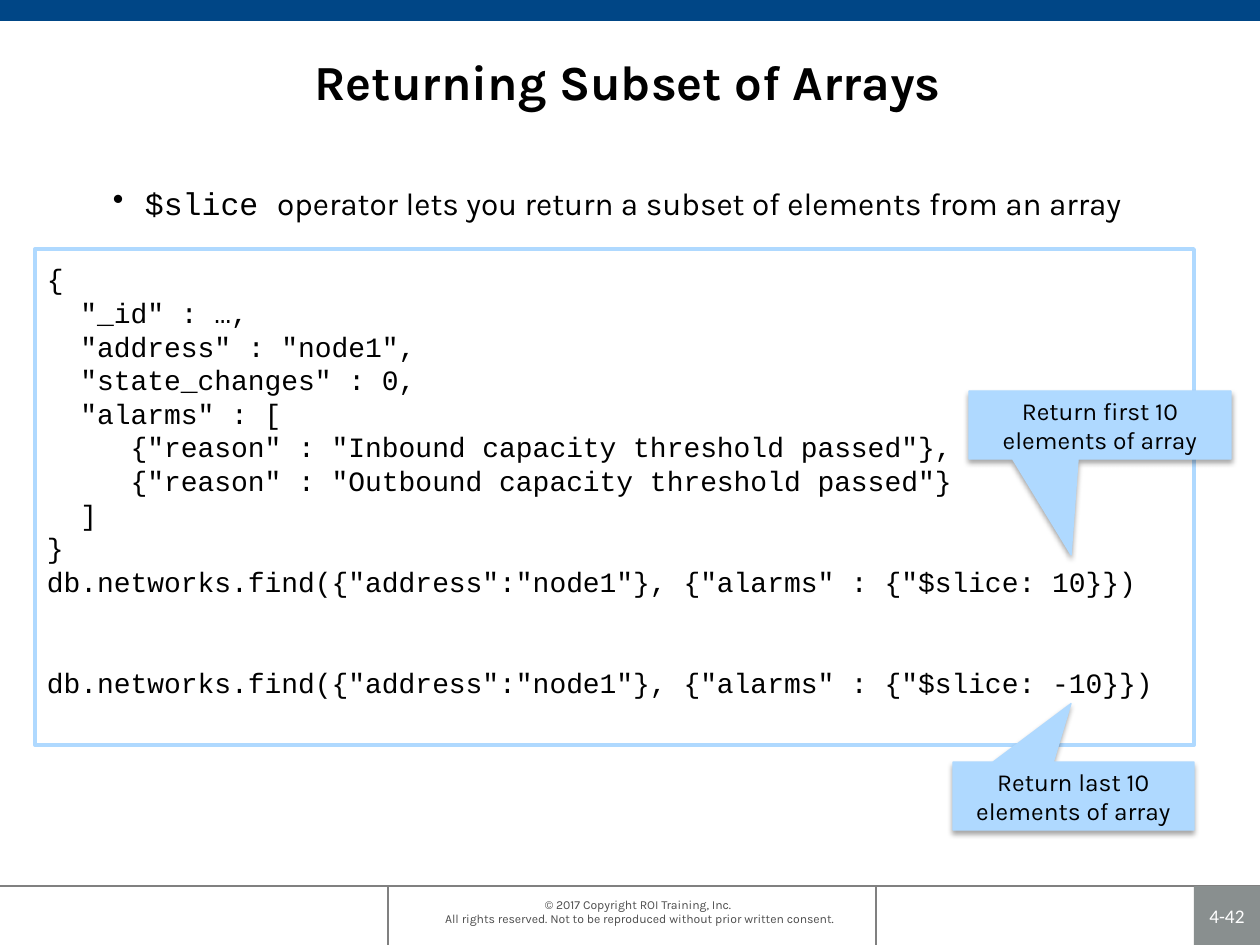
"""Build the slide on returning a subset of an array with $slice."""
from dataclasses import dataclass

from lxml.etree import SubElement
from pptx import Presentation
from pptx.dml.color import RGBColor
from pptx.enum.shapes import MSO_CONNECTOR as Connector, MSO_SHAPE as Shape
from pptx.enum.text import MSO_ANCHOR as Anchor, PP_ALIGN as Align
from pptx.oxml.ns import qn
from pptx.util import Emu, Pt


@dataclass(frozen=True)
class Theme:
    sans: str = "Karla"
    mono: str = "Courier New"
    number: str = "Calibri"
    black: str = "000000"
    white: str = "FFFFFF"
    navy: str = "004686"
    sky: str = "AFD9FF"
    rule: str = "808080"
    badge: str = "898F8F"
    muted: str = "4D4D4D"
    title_size: int = 28
    body_size: int = 18
    code_size: int = 16
    code_pitch: float = 19.2
    callout_size: int = 14
    page_size: int = 11
    legal_size: int = 7


THEME = Theme()
WIDTH, HEIGHT, FOOTER_TOP = 1260, 945, 886
FOOTER_RULES = [
    (876, FOOTER_TOP, 876, HEIGHT),
    (0, FOOTER_TOP, WIDTH, FOOTER_TOP),
    (388, FOOTER_TOP, 388, HEIGHT),
]
COPYRIGHT = [
    "© 2017 Copyright ROI Training, Inc. ",
    "All rights reserved. Not to be reproduced without prior written consent.",
]
TITLE = "Returning Subset of Arrays"
BULLET = [
    ("$slice ", THEME.mono),
    ("operator lets you return a subset of elements from an array", THEME.sans),
]
DOCUMENT_AND_FIRST_QUERY = """{
  "_id" : …,
  "address" : "node1",
  "state_changes" : 0,
  "alarms" : [
     {"reason" : "Inbound capacity threshold passed"},
     {"reason" : "Outbound capacity threshold passed"}
  ]
}
db.networks.find({"address":"node1"}, {"alarms" : {"$slice: 10}})""".split("\n")
LAST_QUERY = 'db.networks.find({"address":"node1"}, {"alarms" : {"$slice: -10}})'
CALLOUTS = [
    ("Return last 10 elements of array", (953, 762, 241, 68), (-0.01, -1.36)),
    ("Return first 10 elements of array", (969, 391, 262, 68), (-0.11, 1.91)),
]


def px(length):
    return Emu(round(length * 914400 / 126))


def color(value):
    return RGBColor.from_string(value)


def set_frame(shape, anchor=Anchor.MIDDLE, insets=(12, 6, 12, 6)):
    frame = shape.text_frame
    frame.word_wrap = True
    frame.vertical_anchor = anchor
    frame.margin_left, frame.margin_top, frame.margin_right, frame.margin_bottom = map(px, insets)
    return frame


def add_run(paragraph, text, size, font=THEME.sans, ink=THEME.black, bold=False):
    run = paragraph.add_run()
    run.text = text
    run.font.size = Pt(size)
    run.font.name = font
    run.font.bold = bold
    run.font.color.rgb = color(ink)


def add_text(slide, box, anchor=Anchor.TOP, insets=(12, 6, 12, 6)):
    return set_frame(slide.shapes.add_textbox(*map(px, box)), anchor, insets)


def add_block(slide, kind, box, fill=None, line=None, weight=0.75):
    shape = slide.shapes.add_shape(kind, *map(px, box))
    shape.shadow.inherit = False
    if fill:
        shape.fill.solid()
        shape.fill.fore_color.rgb = color(fill)
    else:
        shape.fill.background()
    if line:
        shape.line.color.rgb = color(line)
        shape.line.width = Pt(weight)
    else:
        shape.line.fill.background()
    return shape


def add_shadow(shape):
    effects = shape._element.spPr.find(qn("a:effectLst"))
    shadow = SubElement(effects, qn("a:outerShdw"), blurRad=str(Pt(3.1)),
                        dist=str(Pt(1.8)), dir="5400000", rotWithShape="0")
    tint = SubElement(shadow, qn("a:srgbClr"), val=THEME.black)
    SubElement(tint, qn("a:alpha"), val="35000")


def add_footer(slide):
    for ends in FOOTER_RULES:
        rule = slide.shapes.add_connector(Connector.STRAIGHT, *map(px, ends))
        rule.line.color.rgb = color(THEME.rule)
        rule.line.width = Pt(1.5)
        SubElement(rule._element.spPr, qn("a:effectLst"))
    paragraph = add_text(slide, (309, 897, 661, 29), insets=(12, 0, 12, 0)).paragraphs[0]
    paragraph.alignment = Align.CENTER
    for index, line in enumerate(COPYRIGHT):
        if index:
            paragraph.add_line_break()
        add_run(paragraph, line, THEME.legal_size, ink=THEME.muted)
    badge = add_block(slide, Shape.RECTANGLE, (1194, FOOTER_TOP, 66, 59), THEME.badge)
    paragraph = set_frame(badge, insets=(5, 5, 5, 5)).paragraphs[0]
    paragraph.alignment = Align.CENTER
    add_run(paragraph, "4-42", THEME.page_size, THEME.number, THEME.white)


def add_heading(slide):
    add_block(slide, Shape.RECTANGLE, (0, 0, WIDTH, 21), THEME.navy)
    paragraph = add_text(slide, (145, 37, 965, 87), Anchor.MIDDLE).paragraphs[0]
    paragraph.alignment = Align.CENTER
    add_run(paragraph, TITLE, THEME.title_size, bold=True)


def add_bullet(slide):
    paragraph = add_text(slide, (101, 174, 1071, 680)).paragraphs[0]
    properties = paragraph._p.get_or_add_pPr()
    indent = px(32)
    properties.set("marL", str(indent))
    properties.set("indent", str(-indent))
    SubElement(properties, qn("a:buChar"), char="•")
    paragraph.line_spacing = 1.1
    for text, font in BULLET:
        add_run(paragraph, text, THEME.body_size, font)


def add_code(slide):
    panel = add_block(slide, Shape.RECTANGLE, (35, 249, 1159, 496), line=THEME.sky, weight=2.25)
    frame = set_frame(panel, Anchor.TOP, (12, 13, 12, 6))
    for index, line in enumerate([*DOCUMENT_AND_FIRST_QUERY, LAST_QUERY]):
        paragraph = frame.add_paragraph() if index else frame.paragraphs[0]
        paragraph.alignment = Align.LEFT
        paragraph.line_spacing = Pt(THEME.code_pitch)
        add_run(paragraph, line, THEME.code_size, THEME.mono)
    paragraph.space_before = Pt(2 * THEME.code_pitch)


def add_callouts(slide):
    for text, box, tip in CALLOUTS:
        callout = add_block(slide, Shape.RECTANGULAR_CALLOUT, box, THEME.sky, THEME.sky)
        callout.adjustments[0], callout.adjustments[1] = tip
        add_shadow(callout)
        paragraph = set_frame(callout).paragraphs[0]
        paragraph.alignment = Align.CENTER
        add_run(paragraph, text, THEME.callout_size)


def main():
    presentation = Presentation()
    presentation.slide_width, presentation.slide_height = px(WIDTH), px(HEIGHT)
    slide = presentation.slides.add_slide(presentation.slide_layouts[6])
    for add_part in (add_footer, add_heading, add_bullet, add_code, add_callouts):
        add_part(slide)
    presentation.save("out.pptx")


if __name__ == "__main__":
    main()
